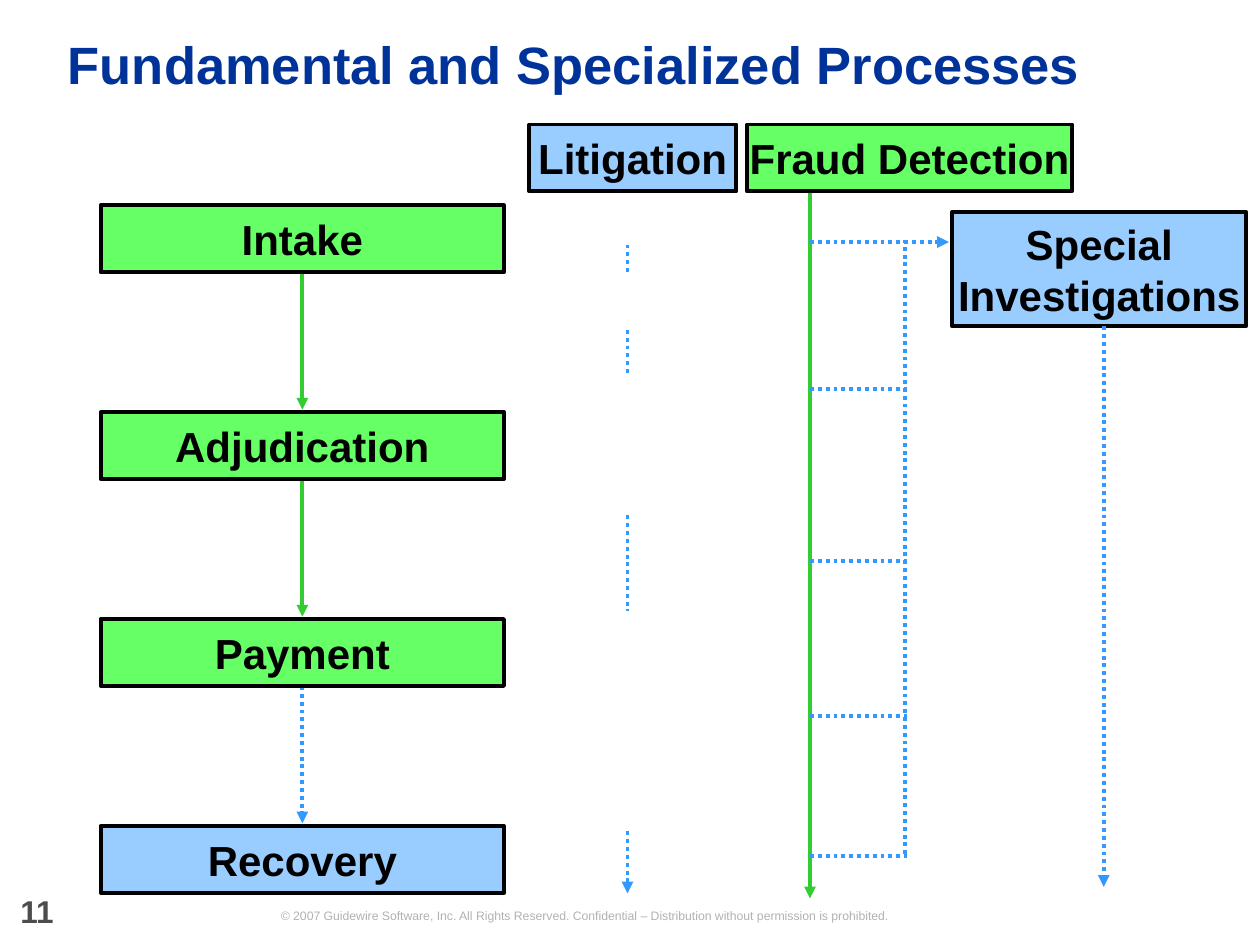
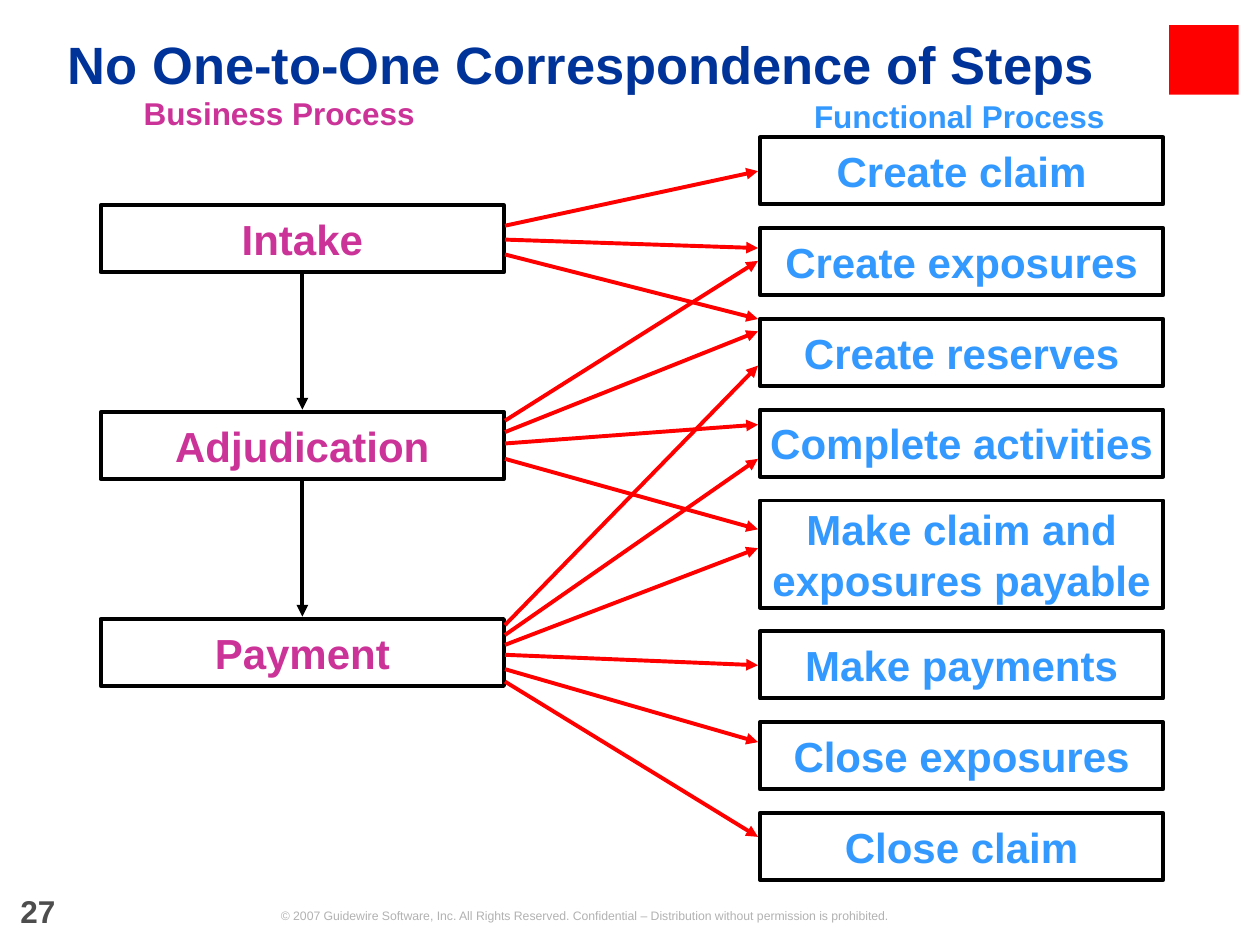
from dataclasses import dataclass
from itertools import pairwise

from lxml.etree import SubElement
from pptx import Presentation
from pptx.dml.color import RGBColor as RGB
from pptx.enum.dml import MSO_LINE
from pptx.enum.shapes import MSO_CONNECTOR, MSO_SHAPE
from pptx.enum.text import MSO_ANCHOR as ANCHOR, PP_ALIGN as ALIGN
from pptx.oxml.ns import qn
from pptx.util import Cm, Pt


@dataclass(frozen=True)
class Theme:
    font: str = "Arial"
    title: str = "003399"
    ink: str = "000000"
    number: str = "4D4D4D"
    footer: str = "B2B2B2"
    green: str = "66FF66"
    green_line: str = "33CC33"
    blue: str = "99CCFF"
    blue_line: str = "3399FF"
    magenta: str = "CC3399"
    red: str = "FF0000"
    title_size: float = 30
    box_size: float = 24
    label_size: float = 18
    footer_size: float = 7
    line_width: float = 2.25


T = Theme()
COPYRIGHT = ("© 2007 Guidewire Software, Inc. All Rights Reserved. Confidential – "
             "Distribution without permission is prohibited.")

# Business process column and box sizes, in cm
STEP_LEFT, STEP_TOP, STEP_PITCH = 2.03, 4.14, 4.17
BOX_W, BOX_H, TALL_H = 8.13, 1.35, 2.16
FUNC_LEFT, FUNC_TOP, FUNC_GAP = 15.32, 2.77, 0.48


def write(sp, text, size=T.box_size, color=T.ink, bold=True,
          align=ALIGN.CENTER, anchor=ANCHOR.MIDDLE, spacing=None):
    """Put formatted text into a shape, text box or placeholder."""
    tf = sp.text_frame
    tf.word_wrap = True
    tf.vertical_anchor = anchor
    tf.margin_left = tf.margin_right = tf.margin_top = tf.margin_bottom = 0
    p = tf.paragraphs[0]
    p.alignment = align
    if spacing:
        p.line_spacing = spacing
    r = p.add_run()
    r.text = text
    r.font.name, r.font.size, r.font.bold = T.font, Pt(size), bold
    r.font.color.rgb = RGB.from_string(color)


def add_label(s, text, x, y, w, h, **fmt):
    write(s.shapes.add_textbox(Cm(x), Cm(y), Cm(w), Cm(h)), text, **fmt)


def add_rect(s, x, y, w, h, fill=None, outline=None):
    sp = s.shapes.add_shape(MSO_SHAPE.RECTANGLE, Cm(x), Cm(y), Cm(w), Cm(h))
    sp.shadow.inherit = False
    if fill:
        sp.fill.solid()
        sp.fill.fore_color.rgb = RGB.from_string(fill)
    else:
        sp.fill.background()
    if outline:
        sp.line.color.rgb = RGB.from_string(outline)
        sp.line.width = Pt(T.line_width)
    else:
        sp.line.fill.background()
    return sp


def add_box(s, text, x, y, w=BOX_W, h=BOX_H, fill=None, color=T.ink):
    write(add_rect(s, x, y, w, h, fill, T.ink), text, color=color)


def add_line(s, x1, y1, x2, y2, color, dotted=False, arrow=False):
    cn = s.shapes.add_connector(MSO_CONNECTOR.STRAIGHT, Cm(x1), Cm(y1), Cm(x2), Cm(y2))
    cn.line.color.rgb = RGB.from_string(color)
    cn.line.width = Pt(T.line_width)
    if dotted:
        cn.line.dash_style = MSO_LINE.ROUND_DOT
    sp_pr = cn.element.spPr
    if arrow:
        SubElement(sp_pr.find(qn("a:ln")), qn("a:tailEnd"), type="triangle")
    SubElement(sp_pr, qn("a:effectLst"))


def add_steps(s, steps, color, line_styles):
    """Stack the process boxes, each (text, fill), with an arrow to the next."""
    tops = [STEP_TOP + i * STEP_PITCH for i in range(len(steps))]
    center = STEP_LEFT + BOX_W / 2
    for (top, following), (line_color, dotted) in zip(pairwise(tops), line_styles):
        add_line(s, center, top + BOX_H, center, following - 0.05,
                 line_color, dotted, arrow=True)
    for top, (text, fill) in zip(tops, steps):
        add_box(s, text, STEP_LEFT, top, fill=fill, color=color)


def add_slide(prs, title, number):
    s = prs.slides.add_slide(prs.slide_layouts[5])
    sp = s.shapes.title
    sp.left, sp.top, sp.width, sp.height = Cm(1.37), Cm(0.33), Cm(23.11), Cm(2.06)
    write(sp, title, size=T.title_size, color=T.title, align=ALIGN.LEFT, spacing=0.9)
    add_label(s, COPYRIGHT, 3.02, 18.31, 17.53, 0.3,
              size=T.footer_size, color=T.footer, bold=False)
    add_label(s, str(number), 0.41, 18.11, 1.45, 0.64, size=T.label_size,
              color=T.number, align=ALIGN.LEFT, anchor=ANCHOR.TOP, spacing=Pt(18))
    return s


def build_processes(prs):
    s = add_slide(prs, "Fundamental and Specialized Processes", 11)
    solid, dotted = (T.green_line, False), (T.blue_line, True)

    # Main flow
    add_steps(s, [("Intake", T.green), ("Adjudication", T.green),
                  ("Payment", T.green), ("Recovery", T.blue)],
              T.ink, [solid, solid, dotted])

    # Parallel processes
    fraud_x, bus_x, inquiry_x, litigation_x = 16.33, 18.24, 22.25, 12.65
    add_line(s, fraud_x, 3.84, fraud_x, 18.11, *solid, arrow=True)
    add_box(s, "Litigation", 10.67, 2.51, w=4.17, fill=T.blue)
    add_box(s, "Fraud Detection", 15.06, 2.51, w=6.55, fill=T.green)
    add_box(s, "Special Investigations", 19.2, 4.27, w=5.92, h=2.31, fill=T.blue)

    # Litigation line, broken into stretches
    for y1, y2, arrow in [(4.93, 5.49, False), (6.65, 7.57, False),
                          (10.39, 12.32, False), (16.76, 18.01, True)]:
        add_line(s, litigation_x, y1, litigation_x, y2, *dotted, arrow=arrow)

    # Referrals from fraud detection to investigations
    add_line(s, fraud_x, 4.88, 19.13, 4.88, *dotted, arrow=True)
    for y in (7.85, 11.3, 14.43, 17.25):
        add_line(s, fraud_x, y, bus_x + 0.05, y, *dotted)
    add_line(s, bus_x, 17.22, bus_x, 4.83, *dotted)
    add_line(s, inquiry_x, 6.58, inquiry_x, 17.88, *dotted, arrow=True)


def build_correspondence(prs):
    s = add_slide(prs, "No One-to-One Correspondence of Steps", 27)
    add_rect(s, 23.57, 0.51, 1.4, 1.4, fill=T.red)

    # Column headings
    for text, x, y, color in [("Business Process", 1.63, 1.9, T.magenta),
                              ("Functional Process", 15.34, 1.96, T.blue_line)]:
        add_label(s, text, x, y, 8, 0.76, size=T.label_size, color=color)

    # Business steps
    steps = ["Intake", "Adjudication", "Payment"]
    add_steps(s, [(text, None) for text in steps], T.magenta, [(T.ink, False)] * 2)

    # Functional steps, equal gaps between them
    top = FUNC_TOP
    for text, h in [("Create claim", BOX_H), ("Create exposures", BOX_H),
                    ("Create reserves", BOX_H), ("Complete activities", BOX_H),
                    ("Make claim and exposures payable", TALL_H),
                    ("Make payments", BOX_H), ("Close exposures", BOX_H),
                    ("Close claim", BOX_H)]:
        add_box(s, text, FUNC_LEFT, top, h=h, color=T.blue_line)
        top += h + FUNC_GAP

    # Links: (height at the business step, height at the functional step)
    intake = [(4.55, 3.45), (4.83, 5), (5.13, 6.43)]
    adjudication = [(8.48, 5.26), (8.71, 6.68), (8.94, 8.56), (9.25, 10.67)]
    payment = [(12.6, 7.37), (12.8, 9.25), (13, 11.05),
               (13.2, 13.41), (13.49, 14.96), (13.74, 16.87)]
    for y1, y2 in intake + adjudication + payment:
        add_line(s, STEP_LEFT + BOX_W + 0.02, y1, FUNC_LEFT - 0.04, y2,
                 T.red, arrow=True)


def main():
    prs = Presentation()
    prs.slide_width, prs.slide_height = Cm(25.4), Cm(19.05)
    build_processes(prs)
    build_correspondence(prs)
    prs.save("out.pptx")


if __name__ == "__main__":
    main()
